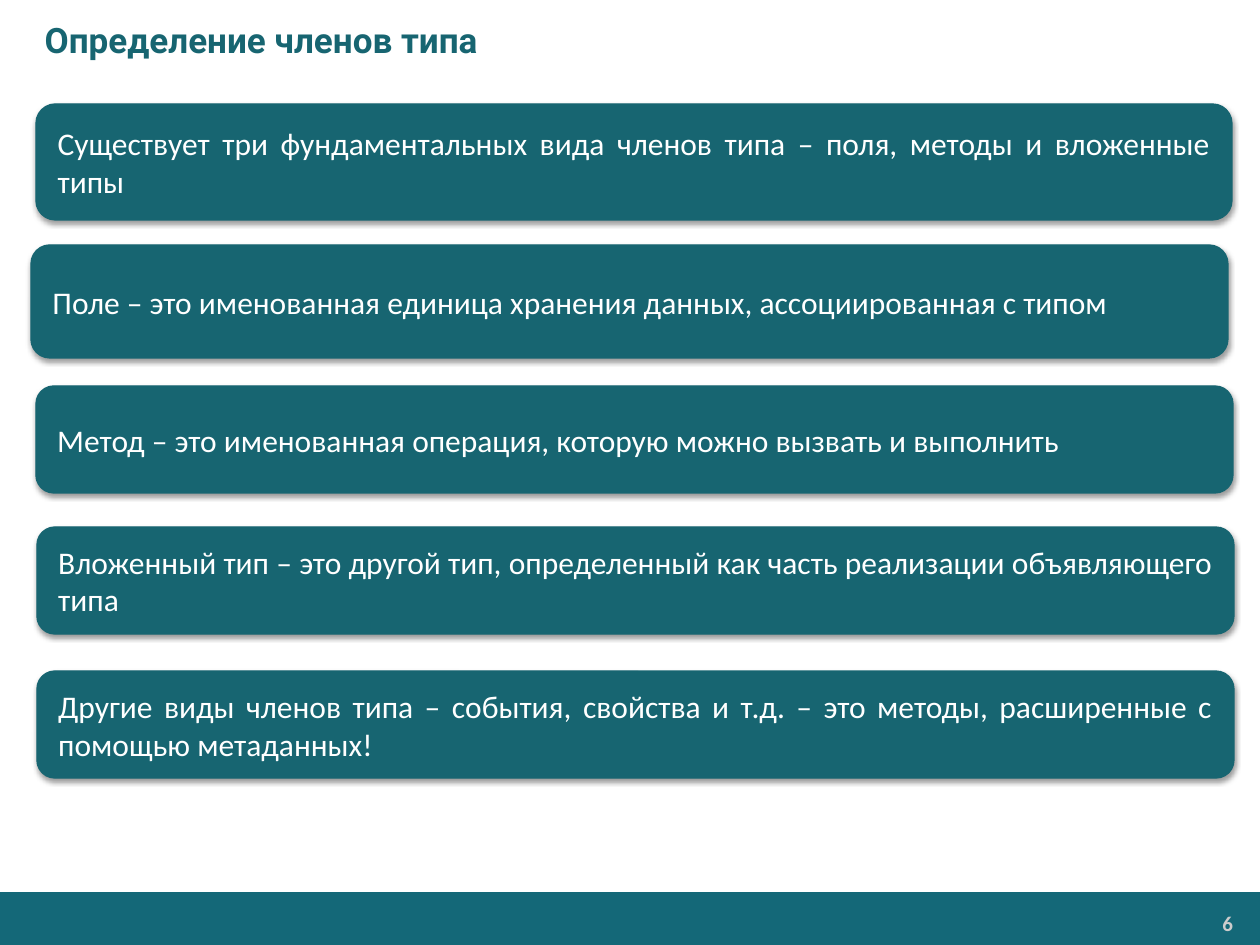
from lxml.etree import SubElement
from pptx import Presentation
from pptx.dml.color import RGBColor
from pptx.enum.shapes import MSO_SHAPE
from pptx.enum.text import MSO_ANCHOR, PP_ALIGN
from pptx.oxml.ns import qn
from pptx.util import Pt

EMU_PER_PX = 914400 / 126
TEAL = "176571"
WHITE = "FFFFFF"

# left, top, width, height, statement
STATEMENTS = [
    (36, 104, 1196, 116, "Существует три фундаментальных вида членов типа – поля, методы и вложенные типы"),
    (31, 245, 1197, 113, "Поле – это именованная единица хранения данных, ассоциированная с типом"),
    (36, 386, 1197, 107, "Метод – это именованная операция, которую можно вызвать и выполнить"),
    (37, 527, 1197, 107, "Вложенный тип – это другой тип, определенный как часть реализации объявляющего типа"),
    (37, 671, 1197, 107, "Другие виды членов типа – события, свойства и т.д. – это методы, "
                         "расширенные с помощью метаданных!"),
]


def px(length):
    return round(length * EMU_PER_PX)


def color(hex_code):
    return RGBColor.from_string(hex_code)


def set_insets(frame, horizontal, vertical):
    frame.margin_left = frame.margin_right = px(horizontal)
    frame.margin_top = frame.margin_bottom = px(vertical)


def write(frame, text, size, hex_code, font="Calibri", bold=False, align=PP_ALIGN.LEFT):
    frame.text = text
    frame.word_wrap = True
    paragraph = frame.paragraphs[0]
    paragraph.alignment = align
    run_font = paragraph.runs[0].font
    run_font.name = font
    run_font.size = Pt(size)
    run_font.bold = bold
    run_font.color.rgb = color(hex_code)


def add_block(slide, preset, left, top, width, height, fill):
    block = slide.shapes.add_shape(preset, px(left), px(top), px(width), px(height))
    block.shadow.inherit = False
    block.fill.solid()
    block.fill.fore_color.rgb = color(fill)
    block.line.fill.background()
    return block


def add_soft_shadow(block):
    effects = block._element.spPr.find(qn("a:effectLst"))
    shadow = SubElement(effects, qn("a:outerShdw"), blurRad=str(Pt(3.1)), dist=str(Pt(1.6)),
                        dir="5400000", rotWithShape="0")
    black = SubElement(shadow, qn("a:srgbClr"), val="000000")
    SubElement(black, qn("a:alpha"), val="38000")


def add_footer(slide, page):
    add_block(slide, MSO_SHAPE.RECTANGLE, 0, 892, 1261, 54, "146878")
    number = slide.shapes.add_textbox(px(1037), px(906), px(205), px(35)).text_frame
    set_insets(number, 9, 5)
    write(number, page, 12, "CCCCCC", bold=True, align=PP_ALIGN.RIGHT)


def set_title(slide, text):
    title = slide.shapes.title
    title.left, title.top, title.width, title.height = px(0), px(0), px(1260), px(79)
    frame = title.text_frame
    frame.vertical_anchor = MSO_ANCHOR.MIDDLE
    write(frame, text, 20, TEAL, font="Roboto", bold=True)
    properties = frame.paragraphs[0]._p.get_or_add_pPr()
    properties.set("marL", str(px(32)))
    properties.set("indent", "0")


def add_statement(slide, left, top, width, height, text):
    card = add_block(slide, MSO_SHAPE.ROUNDED_RECTANGLE, left, top, width, height, TEAL)
    card.line.color.rgb = color(TEAL)
    card.line.width = Pt(0.75)
    add_soft_shadow(card)
    frame = card.text_frame
    frame.vertical_anchor = MSO_ANCHOR.MIDDLE
    set_insets(frame, 16, 8)
    write(frame, text, 18, WHITE, align=PP_ALIGN.JUSTIFY)


def main():
    deck = Presentation()
    deck.slide_width, deck.slide_height = px(1260), px(945)
    slide = deck.slides.add_slide(deck.slide_layouts[5])
    add_footer(slide, "6")
    set_title(slide, "Определение членов типа")
    for statement in STATEMENTS:
        add_statement(slide, *statement)
    deck.save("out.pptx")


if __name__ == "__main__":
    main()
